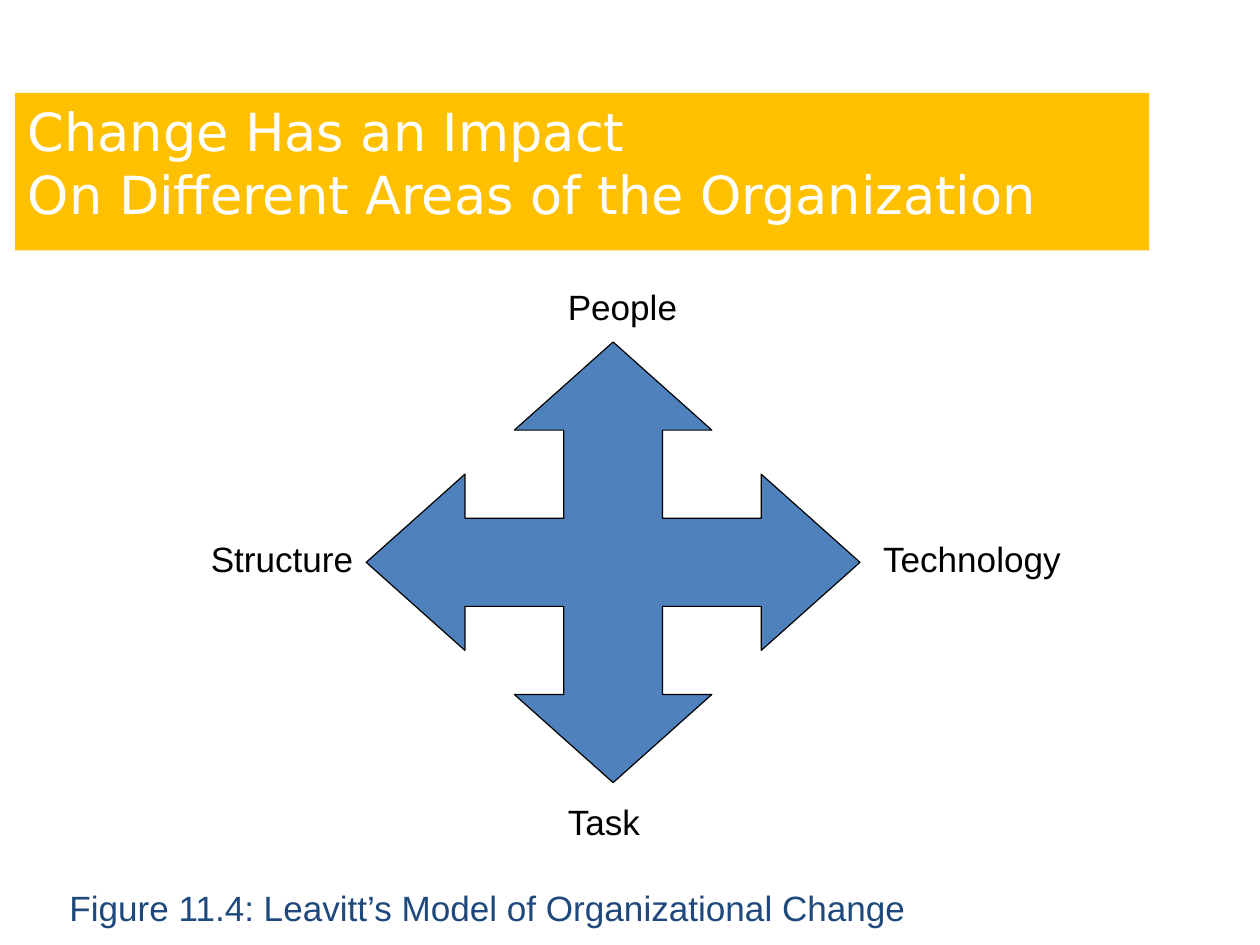
from dataclasses import dataclass

from pptx import Presentation
from pptx.dml.color import RGBColor
from pptx.enum.text import MSO_ANCHOR, MSO_AUTO_SIZE, PP_ALIGN
from pptx.util import Inches, Pt


@dataclass(frozen=True)
class Theme:
    """Hold the colours, fonts and type sizes of the slide."""
    banner: RGBColor = RGBColor(0xFF, 0xC0, 0x00)
    title: RGBColor = RGBColor(0xFF, 0xFF, 0xFF)
    arrow: RGBColor = RGBColor(0x4F, 0x81, 0xBD)
    ink: RGBColor = RGBColor(0, 0, 0)
    caption: RGBColor = RGBColor(0x1F, 0x49, 0x7D)
    title_font: str = "DejaVu Sans"
    body_font: str = "Arial"
    title_size: float = 32.6
    body_size: float = 21.8


THEME = Theme()
WIDTH, HEIGHT = 10.87, 8.15
LABEL_HEIGHT = 0.46


def style(p, font, size, color):
    """Set the font of a whole paragraph."""
    p.font.name, p.font.size = font, Pt(size)
    p.font.color.rgb = color


def add_title(s, text, box):
    """Place the title placeholder as a filled banner."""
    sp = s.shapes.title
    sp.left, sp.top, sp.width, sp.height = map(Inches, box)
    sp.fill.solid()
    sp.fill.fore_color.rgb = THEME.banner
    tf = sp.text_frame
    tf.text = text
    tf.word_wrap, tf.auto_size = True, MSO_AUTO_SIZE.NONE
    tf.vertical_anchor = MSO_ANCHOR.TOP
    tf.margin_left = tf.margin_right = Inches(0.11)
    p = tf.paragraphs[0]
    p.alignment = PP_ALIGN.LEFT
    style(p, THEME.title_font, THEME.title_size, THEME.title)


def add_label(s, text, box, color=THEME.ink):
    """Place one line of text, free to run to the right edge of its box."""
    tf = s.shapes.add_textbox(*map(Inches, box)).text_frame
    tf.text = text
    tf.word_wrap = False
    tf.margin_right = 0
    p = tf.paragraphs[0]
    p.alignment = PP_ALIGN.LEFT
    style(p, THEME.body_font, THEME.body_size, color)


def add_arrow(s, box):
    """Draw the four-way arrow on a ten-by-ten grid by turning one arm."""
    x, y, w, h = box
    arm = [(-1, -1), (-1, -3), (-2, -3), (0, -5), (2, -3), (1, -3)]
    points = []
    for _ in range(4):
        points += arm
        arm = [(-dy, dx) for dx, dy in arm]
    points = [(Inches(x + w * (5 + dx) / 10), Inches(y + h * (5 + dy) / 10))
              for dx, dy in points]
    fb = s.shapes.build_freeform(*points[0])
    fb.add_line_segments(points[1:], close=True)
    sp = fb.convert_to_shape()
    sp.shadow.inherit = False
    sp.fill.solid()
    sp.fill.fore_color.rgb = THEME.arrow
    sp.line.color.rgb = THEME.ink
    sp.line.width = Pt(0.75)


def add_model(s, box):
    """Draw the arrow and name the area at each of its tips."""
    x, y, w, h = box
    add_arrow(s, box)
    column, row = x + 0.385 * w, y + 0.43 * h
    labels = [("People", column, y - 0.54, 1.14),
              ("Technology", x + w + 0.1, row, 1.73),
              ("Task", column, y + h + 0.1, 0.82),
              ("Structure", x - 1.44, row, 1.42)]
    for text, left, top, width in labels:
        add_label(s, text, (left, top, width, LABEL_HEIGHT))


def main():
    """Build and save the slide."""
    prs = Presentation()
    prs.slide_width, prs.slide_height = Inches(WIDTH), Inches(HEIGHT)
    s = prs.slides.add_slide(prs.slide_layouts[5])
    add_title(s, "Change Has an Impact\vOn Different Areas of the Organization",
              (0.13, 0.8, 0.9 * WIDTH, 1.36))
    add_model(s, (3.16, 2.95, 4.26, 3.8))
    add_label(s, "Figure 11.4: Leavitt’s Model of Organizational Change",
              (0.5, 7.6, 7.41, LABEL_HEIGHT), THEME.caption)
    prs.save("out.pptx")


if __name__ == "__main__":
    main()
